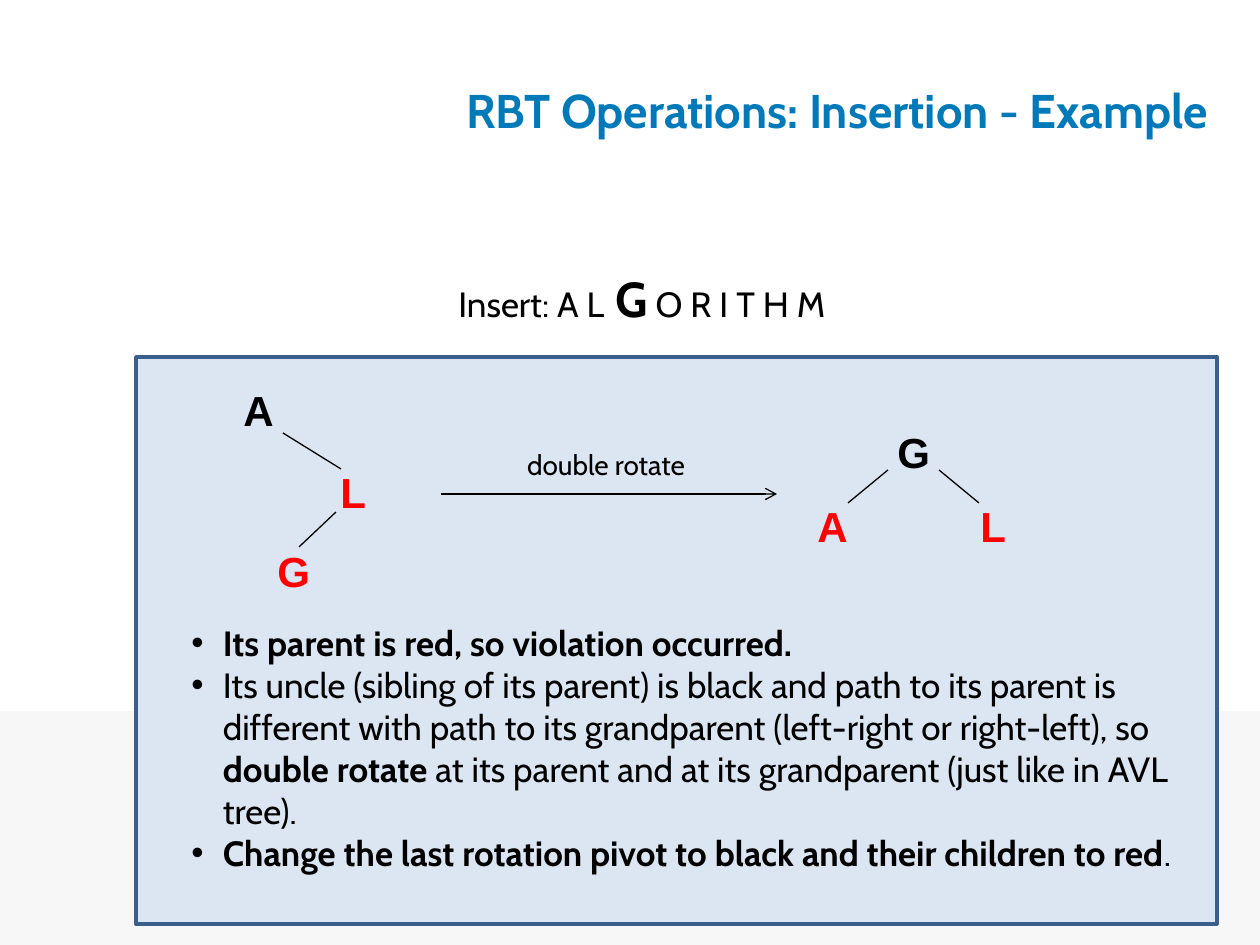
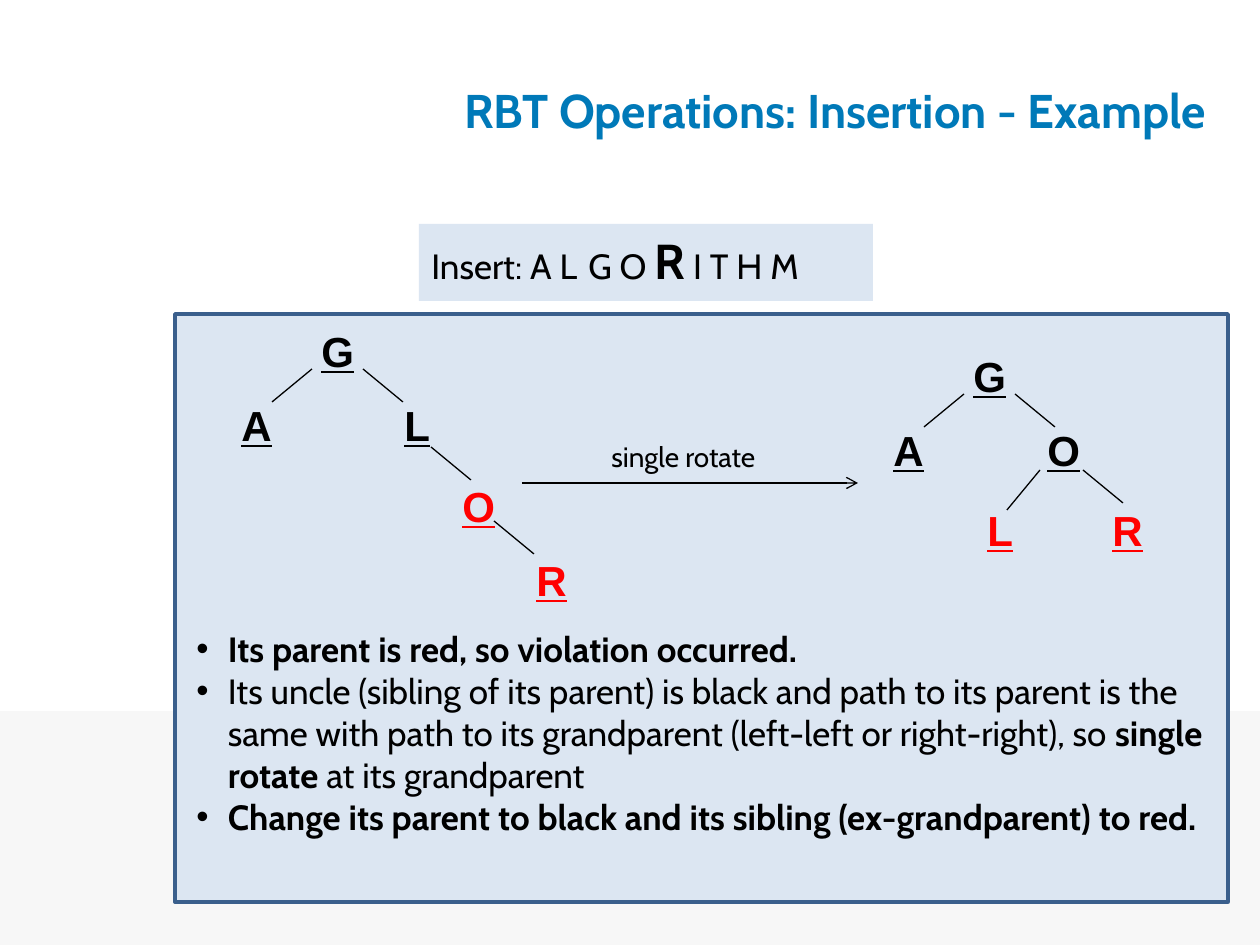
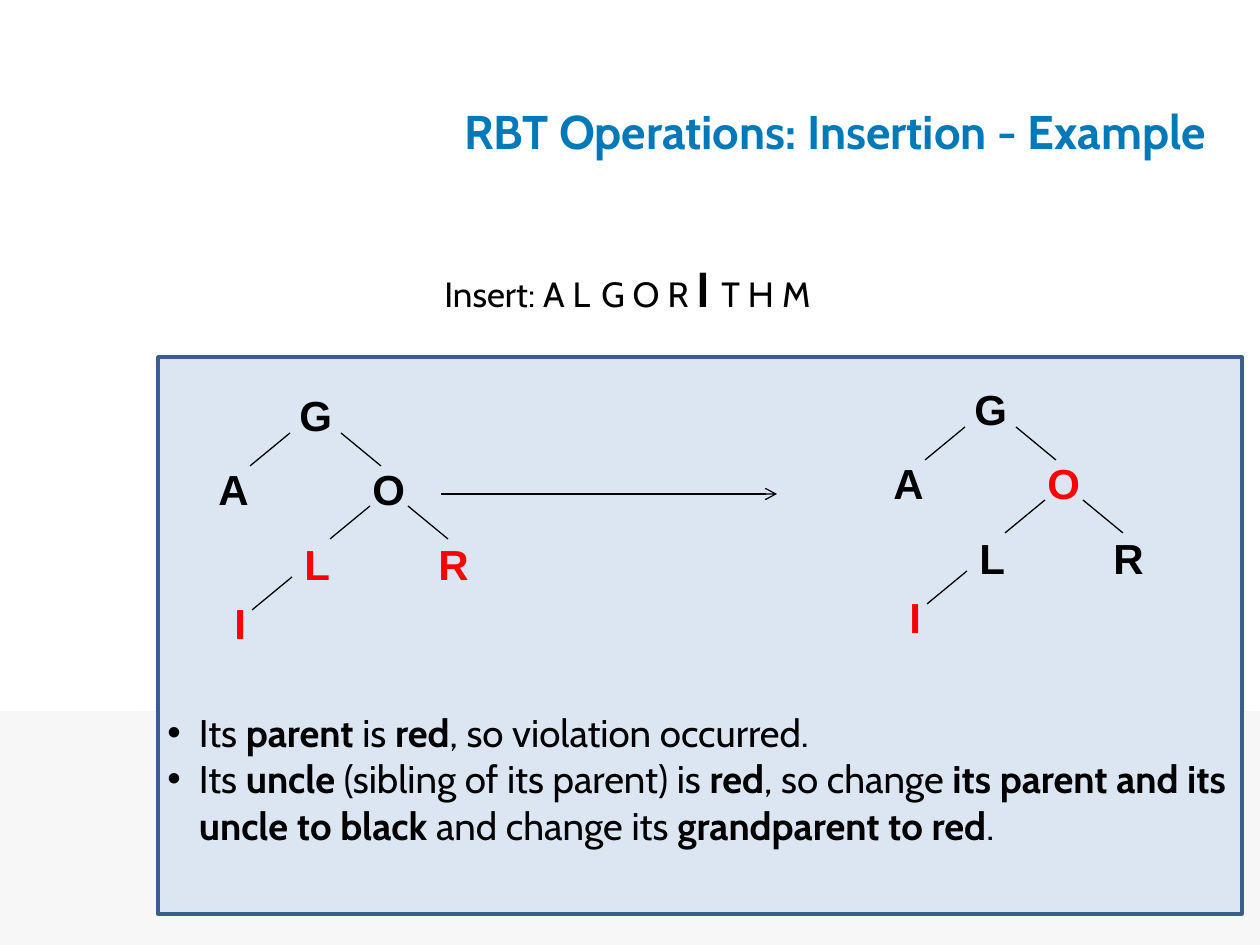
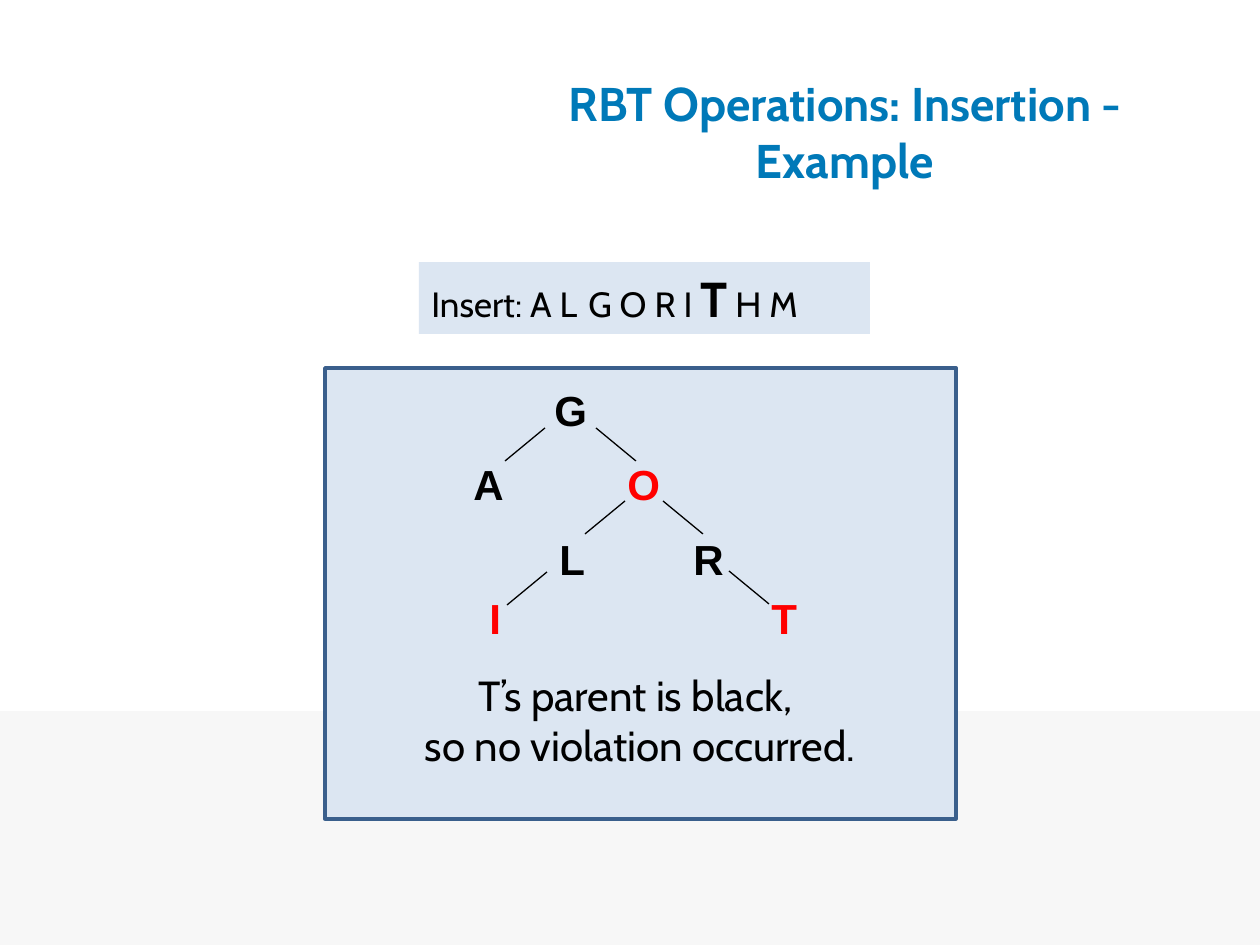
"""Builds four slides on inserting letters into a red-black tree."""
from lxml.etree import SubElement as Sub
from pptx import Presentation
from pptx.dml.color import RGBColor as RGB
from pptx.enum.shapes import MSO_CONNECTOR as Conn, MSO_SHAPE as Shape
from pptx.enum.text import MSO_ANCHOR as Anchor, MSO_AUTO_SIZE as Auto, PP_ALIGN as Align
from pptx.oxml.ns import qn
from pptx.util import Pt

PX = 914400 / 126
BLUE = RGB(0x00, 0x79, 0xB8)
PALE = RGB(0xDC, 0xE6, 0xF2)
EDGE = RGB(0x3A, 0x5F, 0x8C)
GREY = RGB(0xF7, 0xF7, 0xF7)
RED = RGB(0xFF, 0x00, 0x00)
BLACK = RGB(0x00, 0x00, 0x00)

TITLE = "RBT Operations: Insertion - Example"
WIDE = {"A": 55, "G": 58, "I": 37, "L": 50, "O": 58, "R": 55, "T": 50}

# Nodes are (letter, x, y) and edges (x, y, run, rise), both from the root.
FORK = [(3, 50, -40, 33), (54, 50, 40, 33)]
BENT = ([("A", 0, 0), ("L", 97, 82), ("G", 34, 161)],
        [(52, 55, 58, 36), (105, 134, -37, 35)])
SMALL = ([("G", 0, 0), ("A", -80, 74), ("L", 83, 74)], FORK)
CHAIN = (SMALL[0] + [("O", 141, 155), ("R", 215, 229)],
         FORK + [(122, 128, 40, 33), (185, 202, 40, 33)])
EVEN = ([("G", 0, 0), ("A", -80, 74), ("O", 74, 74), ("L", 14, 154), ("R", 139, 154)],
        FORK + [(122, 126, 40, 33), (79, 126, -33, 40)])
DEEP = ([("G", 0, 0), ("A", -81, 74), ("O", 73, 74), ("L", 5, 149), ("R", 139, 149),
         ("I", -65, 208)],
        FORK + [(121, 123, 40, 33), (83, 123, -40, 33), (5, 194, -40, 33)])
FULL = (DEEP[0] + [("T", 217, 208)], DEEP[1] + [(187, 193, 40, 33)])

# Stars switch the strong style on and off.
SLIDES = [
    dict(title=(446, 55, 782, 110), panel=(136, 357, 1081, 567),
         word="Insert: A L* G* O R I T H M", spot=(446, 262, 451, 72),
         trees=[(BENT, 231, 378, "LG"), (SMALL, 885, 420, "AL")],
         arrow=(441, 494), label="double rotate", tag=(446, 441, 320, 47), wrap=True,
         body=(53, 615, 1166, 310), size=20,
         notes=["*Its parent is red, so violation occurred.*",
                "Its uncle (sibling of its parent) is black and path to its parent is "
                "different with path to its grandparent (left-right or right-left), so "
                "*double rotate* at its parent and at its grandparent "
                "(just like in AVL tree).",
                "*Change the last rotation pivot to black and their children to red*."]),
    dict(title=(441, 55, 788, 110), panel=(175, 314, 1053, 588),
         word="Insert: A L* *G O *R* I T H M", spot=(419, 224, 454, 77), fill=PALE,
         trees=[(CHAIN, 309, 319, "OR"), (EVEN, 961, 344, "LR")], under=True,
         arrow=(522, 483), label="single rotate", tag=(599, 433, 180, 47),
         body=(58, 621, 1197, 267), size=20,
         notes=["*Its parent is red, so violation occurred.*",
                "Its uncle (sibling of its parent) is black and path to its parent is "
                "the same with path to its grandparent (left-left or right-right), so "
                "*single rotate* at its grandparent",
                "*Change its parent to black and its sibling (ex-grandparent) to red.*"]),
    dict(title=(441, 76, 788, 110), panel=(158, 357, 1084, 557),
         word="Insert: A L* *G O R *I *T H M", spot=(432, 252, 454, 72),
         trees=[(DEEP, 287, 383, "LRI"), (DEEP, 962, 377, "OI")],
         arrow=(441, 494), body=(29, 703, 1210, 199), size=22,
         notes=["Its *parent* is *red*, so violation occurred.",
                "Its *uncle* (sibling of its parent) is *red*, so change *its parent and "
                "its uncle to black *and change its *grandparent to red*."]),
    dict(title=(462, 76, 766, 110), panel=(325, 368, 631, 451),
         word="Insert: A L* *G O R I *T* H M", spot=(419, 262, 451, 72), fill=PALE,
         trees=[(FULL, 542, 378, "OIT")],
         body=(325, 663, 630, 115), size=24, bullet=False,
         notes=["T’s parent is black, ", "so no violation occurred."]),
]


def emu(*vals):
    return [round(v * PX) for v in vals]


def write(shapes, box, lines, size, color=BLACK, font="Cabin", big=None, bold=False,
          under=False, wrap=True, align=None):
    shape = shapes.add_textbox(*emu(*box))
    frame = shape.text_frame
    frame.word_wrap = wrap
    frame.auto_size = Auto.SHAPE_TO_FIT_TEXT
    for i, line in enumerate(lines):
        para = frame.paragraphs[0] if i == 0 else frame.add_paragraph()
        para.alignment = align
        for j, part in enumerate(line.split("*")):
            if not part:
                continue
            run = para.add_run()
            run.text = part
            strong = j % 2 == 1
            run.font.name = font
            run.font.size = Pt(big if big and strong else size)
            run.font.bold = bold or strong
            run.font.underline = under
            run.font.color.rgb = color
    return shape


def block(shapes, box, fill):
    shape = shapes.add_shape(Shape.RECTANGLE, *emu(*box))
    shape.shadow.inherit = False
    shape.fill.solid()
    shape.fill.fore_color.rgb = fill
    shape.line.fill.background()
    return shape


def stroke(shapes, x, y, run, rise):
    line = shapes.add_connector(Conn.STRAIGHT, *emu(x, y, x + run, y + rise))
    line.line.color.rgb = BLACK
    line.line.width = Pt(0.75)
    Sub(line._element.spPr, qn("a:effectLst"))
    return line


def tree(slide, plan, left, top, reds, under):
    nodes, edges = plan
    shapes = slide.shapes.add_group_shape().shapes
    for name, x, y in nodes:
        write(shapes, (left + x, top + y, WIDE[name], 63), [name], 24,
              RED if name in reds else BLACK, "Arial", bold=True, under=under, wrap=False)
    for x, y, run, rise in edges:
        stroke(shapes, left + x, top + y, run, rise)


def dot(para):
    para.level = 2
    props = para._p.get_or_add_pPr()
    props.set("marL", "1143000")
    props.set("indent", "-228600")
    Sub(props, qn("a:buFont")).set("typeface", "Arial")
    Sub(props, qn("a:buChar")).set("char", "•")


def draw(slide, data):
    shapes = slide.shapes
    panel = block(shapes, data["panel"], PALE)
    panel.line.color.rgb = EDGE
    panel.line.width = Pt(2)
    title = write(shapes, data["title"], [TITLE], 27, BLUE, bold=True, align=Align.CENTER)
    title.text_frame.auto_size = Auto.NONE
    title.text_frame.vertical_anchor = Anchor.MIDDLE
    word = write(shapes, data["spot"], [data["word"]], 20, big=28, wrap=False)
    if "fill" in data:
        word.fill.solid()
        word.fill.fore_color.rgb = data["fill"]
    for part in data["trees"]:
        tree(slide, *part, data.get("under", False))
    if "arrow" in data:
        arrow = stroke(shapes, *data["arrow"], 336, 0)
        Sub(arrow.line._get_or_add_ln(), qn("a:tailEnd")).set("type", "arrow")
    if "label" in data:
        wrap = data.get("wrap", False)
        write(shapes, data["tag"], [data["label"]], 16, wrap=wrap,
              align=Align.CENTER if wrap else None)
    bullet = data.get("bullet", True)
    body = write(shapes, data["body"], data["notes"], data["size"],
                 align=None if bullet else Align.CENTER)
    if bullet:
        for para in body.text_frame.paragraphs:
            dot(para)


def main():
    prs = Presentation()
    prs.slide_width, prs.slide_height = emu(1260, 945)
    blank = prs.slide_layouts[6]
    for i, data in enumerate(SLIDES):
        slide = prs.slides.add_slide(blank)
        if i == 0:
            band = block(slide.shapes, (0, 711, 1260, 234), GREY)
            blank.shapes._spTree.append(band._element)
        draw(slide, data)
    prs.save("out.pptx")


if __name__ == "__main__":
    main()
